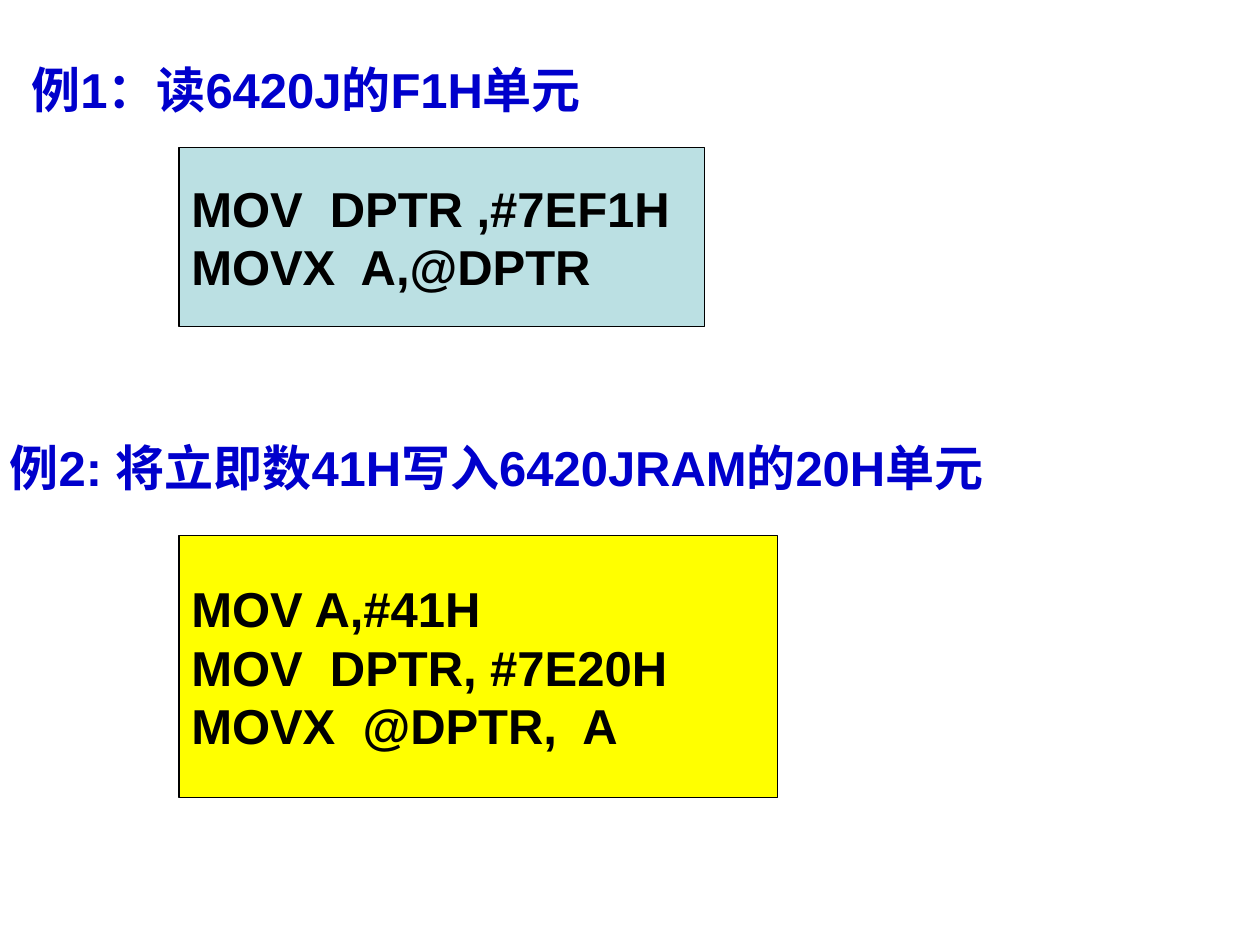
from pptx import Presentation
from pptx.dml.color import RGBColor
from pptx.enum.shapes import MSO_SHAPE
from pptx.enum.text import MSO_ANCHOR, MSO_AUTO_SIZE, PP_ALIGN
from pptx.util import Inches, Pt

RECTANGLE = MSO_SHAPE.RECTANGLE
TOP, MIDDLE = MSO_ANCHOR.TOP, MSO_ANCHOR.MIDDLE
NO_FIT, GROW = MSO_AUTO_SIZE.NONE, MSO_AUTO_SIZE.SHAPE_TO_FIT_TEXT
LEFT = PP_ALIGN.LEFT
TITLE_ONLY = 5

# Content: boxes are left, top, width, height in inches
EXAMPLES = [
    {
        "heading": "例1：读6420J的F1H单元",
        "heading_box": (0.15, 0.42, 5.18, 0.57),
        "code": ["MOV  DPTR ,#7EF1H", "MOVX  A,@DPTR"],
        "code_box": (1.42, 1.17, 4.17, 1.42),
        "fill": "BBE0E3",
    },
    {
        "heading": "例2: 将立即数41H写入6420JRAM的20H单元",
        "heading_box": (-0.02, 3.42, 8.73, 0.57),
        "code": ["MOV A,#41H", "MOV  DPTR, #7E20H", "MOVX  @DPTR,  A"],
        "code_box": (1.42, 4.25, 4.75, 2.08),
        "fill": "FFFF00",
    },
]
HEADING_COLOR = "0000CC"
CODE_COLOR = "000000"


def color(value):
    return RGBColor.from_string(value)


def place(shape, box):
    shape.left, shape.top, shape.width, shape.height = map(Inches, box)


def write(shape, lines, text_color, anchor, auto_size):
    frame = shape.text_frame
    frame.text = "\n".join(lines)
    frame.word_wrap = False
    frame.auto_size = auto_size
    frame.vertical_anchor = anchor
    for paragraph in frame.paragraphs:
        paragraph.alignment = LEFT
        font = paragraph.font
        font.name = "Arial"
        font.size = Pt(28)
        font.bold = True
        font.color.rgb = color(text_color)


def add_code(slide, example):
    shape = slide.shapes.add_shape(RECTANGLE, *map(Inches, example["code_box"]))
    shape.shadow.inherit = False
    shape.fill.solid()
    shape.fill.fore_color.rgb = color(example["fill"])
    shape.line.color.rgb = color(CODE_COLOR)
    shape.line.width = Pt(0.75)
    write(shape, example["code"], CODE_COLOR, MIDDLE, NO_FIT)


presentation = Presentation()
presentation.slide_width = Inches(10)
presentation.slide_height = Inches(7.5)
slide = presentation.slides.add_slide(presentation.slide_layouts[TITLE_ONLY])

# The first heading is the slide title, the second a text box
headings = [slide.shapes.title, slide.shapes.add_textbox(0, 0, 0, 0)]
for heading, example in zip(headings, EXAMPLES):
    place(heading, example["heading_box"])
    write(heading, [example["heading"]], HEADING_COLOR, TOP, GROW)
    add_code(slide, example)

presentation.save("out.pptx")
